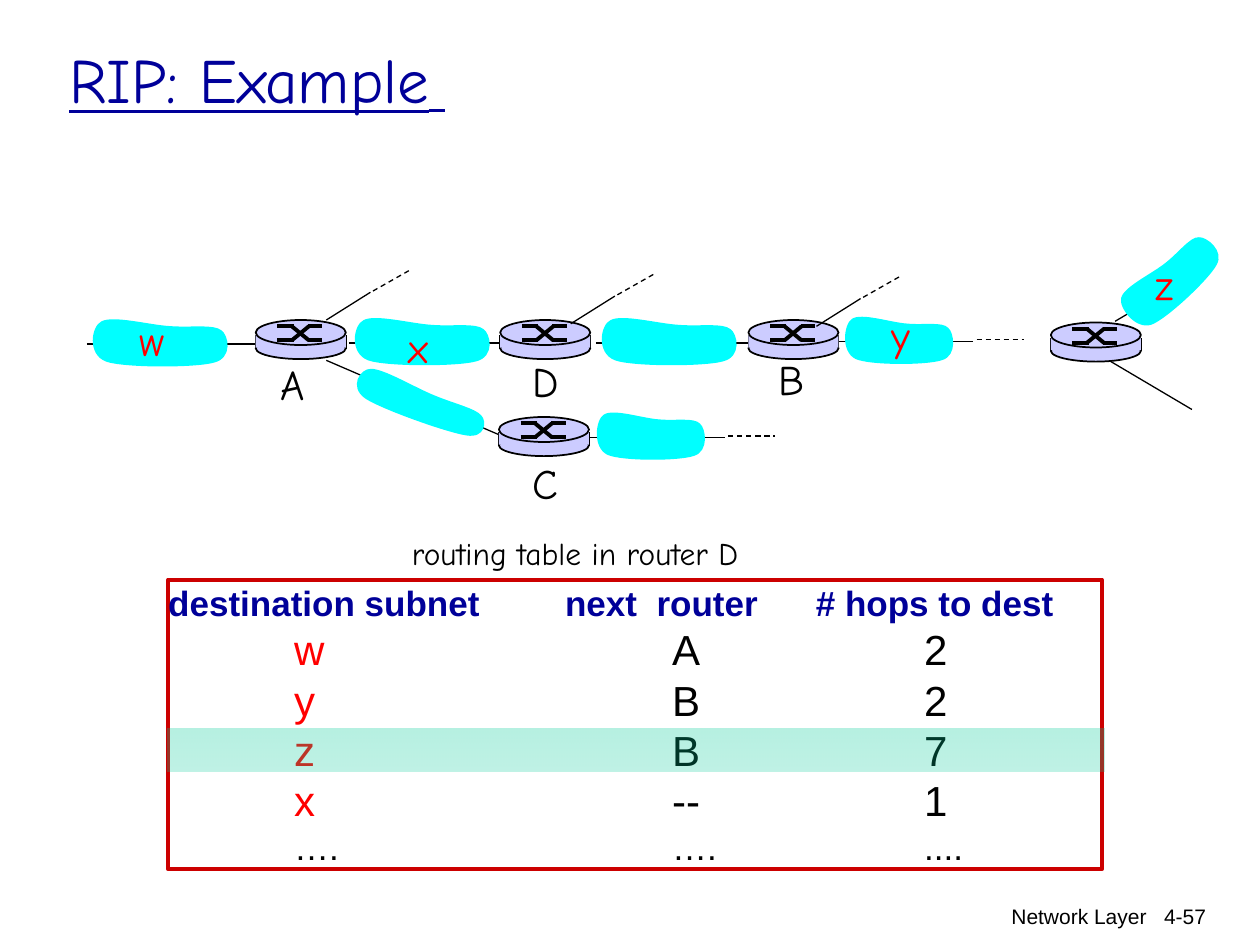
import lxml.etree
import pptx
import pptx.dml.color
import pptx.enum.dml
import pptx.enum.shapes
import pptx.enum.text
import pptx.oxml.ns
import pptx.util

COLUMNS = 100
ROWS = 75
CELL = pptx.util.Inches(10) // COLUMNS
BODY_FONT, HAND_FONT = "Arial", "Comic Neue"
BLACK, RED, NAVY = "000000", "FF0000", "000099"
SHAPES = pptx.enum.shapes.MSO_SHAPE
ALIGN = pptx.enum.text.PP_ALIGN
ANCHOR = pptx.enum.text.MSO_ANCHOR
CLOUD_START = (0.57, 0.21)
CLOUD_CURVES = [
    ((0.43, 0.19), (0.18, 0), (0.10, 0.12)),
    ((0.03, 0.21), (0, 0.74), (0.13, 0.88)),
    ((0.25, 1), (0.74, 1), (0.87, 0.90)),
    ((1, 0.81), (0.97, 0.38), (0.92, 0.29)),
    ((0.87, 0.17), (0.71, 0.24), CLOUD_START),
]


def color(value):
    return pptx.dml.color.RGBColor.from_string(value)


def cells(*values):
    return [round(value * CELL) for value in values]


def within(box, x, y):
    left, top, width, height = box
    return left + x * width, top + y * height


def add_child(parent, tag, **attributes):
    return lxml.etree.SubElement(parent, pptx.oxml.ns.qn(tag), **attributes)


def style(span, size, shade, face, bold=False):
    span.font.size = pptx.util.Pt(size)
    span.font.color.rgb = color(shade)
    span.font.name = face
    span.font.bold = bold


def draw_line(shapes, start, end, weight=0.75, dashed=False):
    line = shapes.add_connector(
        pptx.enum.shapes.MSO_CONNECTOR.STRAIGHT, *cells(*start, *end))
    line.line.color.rgb = color(BLACK)
    line.line.width = pptx.util.Pt(weight)
    if dashed:
        line.line.dash_style = pptx.enum.dml.MSO_LINE.DASH
    add_child(line.element.spPr, "a:effectLst")


def draw_shape(shapes, kind, box, fill=None, outline=None, weight=1):
    shape = shapes.add_shape(kind, *cells(*box))
    shape.shadow.inherit = False
    if fill:
        shape.fill.solid()
        shape.fill.fore_color.rgb = color(fill)
    else:
        shape.fill.background()
    if outline:
        shape.line.color.rgb = color(outline)
        shape.line.width = pptx.util.Pt(weight)
    else:
        shape.line.fill.background()
    return shape


def add_label(page, box, words, size, shade=BLACK, face=HAND_FONT,
              align=ALIGN.LEFT, wrap=False):
    frame = page.shapes.add_textbox(*cells(*box)).text_frame
    frame.word_wrap = wrap
    frame.text = words
    para = frame.paragraphs[0]
    para.alignment = align
    style(para.runs[0], size, shade, face)


def add_title(page, box):
    title = page.shapes.title
    title.left, title.top, title.width, title.height = cells(*box)
    frame = title.text_frame
    frame.vertical_anchor = ANCHOR.MIDDLE
    para = frame.paragraphs[0]
    para.alignment = ALIGN.LEFT
    for words, size in (("RIP: Example", 36), (" ", 28)):
        span = para.add_run()
        span.text = words
        style(span, size, NAVY, HAND_FONT)
        span.font.underline = True


def add_router(page, left, top):
    box = (left, top, 7.15, 3.1)
    width, height = box[2:]
    shapes = page.shapes.add_group_shape().shapes

    def part(kind, y, share, outline=None):
        draw_shape(shapes, kind, (*within(box, 0, y), width, share * height),
                   "CCCCFF", outline)

    part(SHAPES.OVAL, 0.45, 0.55, BLACK)
    for x in (0, 1):
        draw_line(shapes, within(box, x, 0.39), within(box, x, 0.74), 1)
    part(SHAPES.RECTANGLE, 0.39, 0.32)
    part(SHAPES.OVAL, 0, 0.64, BLACK)
    for near, far in ((0.16, 0.52), (0.52, 0.16)):
        for x1, y1, x2, y2 in ((0.24, near, 0.42, near),
                               (0.40, near, 0.59, far),
                               (0.58, far, 0.74, far)):
            draw_line(shapes, within(box, x1, y1), within(box, x2, y2), 2.25)


def add_cloud(page, box, turn=0):
    corners = [tuple(cells(*within(box, x, y)))
               for x, y in ((0, 0), (1, 0), (1, 1), (0, 1))]
    builder = page.shapes.build_freeform(*corners[0])
    builder.add_line_segments(corners[1:], close=True)
    cloud = builder.convert_to_shape()
    outline = next(cloud.element.iter(pptx.oxml.ns.qn("a:path")))
    for step in list(outline):
        outline.remove(step)
    for tag, points in (("a:moveTo", [CLOUD_START]),
                        *(("a:cubicBezTo", curve) for curve in CLOUD_CURVES)):
        step = add_child(outline, tag)
        for x, y in points:
            add_child(step, "a:pt", x=str(round(x * cloud.width)),
                      y=str(round(y * cloud.height)))
    add_child(outline, "a:close")
    cloud.shadow.inherit = False
    cloud.fill.solid()
    cloud.fill.fore_color.rgb = color("00FFFF")
    cloud.line.fill.background()
    cloud.rotation = turn


def add_branch(page, x, y):
    shapes = page.shapes.add_group_shape().shapes
    draw_line(shapes, (x, y), (x + 3.5, y - 2.2))
    draw_line(shapes, (x + 3.7, y - 2.3), (x + 6.7, y - 4), dashed=True)


def add_network(page):
    for left, y in ((6.9, 27.3), (27.7, 27.2), (47.3, 27.2)):
        draw_line(page.shapes, (left, y), (left + 13.6, y), 1)
    for start, end in (((66.5, 27.1), (77.2, 27.1)),
                       ((46.8, 34.7), (57.5, 34.7)),
                       ((88.5, 25.5), (95.1, 21.6)),
                       ((88, 28.6), (94.6, 32.5)),
                       ((25.9, 28.6), (39.6, 34.5))):
        draw_line(page.shapes, start, end)
    for left, y in ((77.5, 26.95), (57.8, 34.6)):
        draw_line(page.shapes, (left, y), (left + 3.75, y), dashed=True)
    for left, top in ((20.3, 25.4), (39.7, 25.4), (59.4, 25.4),
                      (39.6, 33.1), (83.4, 25.6)):
        add_router(page, left, top)
    for x, y in ((25.9, 25.4), (45.3, 25.7), (64.8, 25.9)):
        add_branch(page, x, y)
    for left, top, width in ((6.9, 25, 11.6), (27.7, 24.9, 11.6),
                             (47.3, 24.9, 11.6), (66.7, 24.8, 9.3),
                             (47, 32.4, 9.3)):
        add_cloud(page, (left, top, width, 4.2))
    add_cloud(page, (27.6, 30.4, 11.6, 3.1), 19.7)
    add_cloud(page, (88.1, 20.1, 9.5, 4.2), 316.8)
    for words, left, top, width, shade in (
            ("w", 10.1, 24.5, 4.3, RED), ("x", 31.4, 25, 4, RED),
            ("y", 69.8, 24.1, 3.8, RED), ("z", 90.7, 20, 3.8, RED),
            ("A", 21.3, 28, 4.4, BLACK), ("C", 41.3, 35.8, 4, BLACK),
            ("D", 41.3, 27.7, 4.4, BLACK), ("B", 60.8, 27.6, 4.1, BLACK)):
        add_label(page, (left, top, width, 5), words, 24, shade)


def add_row(para, stops, pieces, size, bold=False):
    para.alignment = ALIGN.LEFT
    tabs = add_child(para._p.get_or_add_pPr(), "a:tabLst")
    for stop in cells(*stops):
        add_child(tabs, "a:tab", pos=str(stop), algn="l")
    for words, shade in pieces:
        span = para.add_run()
        span.text = words
        style(span, size, shade, BODY_FONT, bold)


def add_routing_rows(page, box):
    panel = draw_shape(page.shapes, SHAPES.RECTANGLE, box, None, "CC0000", 2.25)
    frame = panel.text_frame
    frame.margin_left = frame.margin_right = 0
    frame.margin_top = frame.margin_bottom = 0
    frame.vertical_anchor = ANCHOR.MIDDLE
    heading = "destination subnet\tnext  router\t# hops to dest"
    add_row(frame.paragraphs[0], (31.5, 51.4), [(heading, NAVY)], 20, True)
    for subnet, router, hops, size, shade in (
            ("w", "A", "2", 24, RED), ("y", "B", "2", 24, RED),
            ("z", "B", "7", 24, RED), ("x", "--", "1", 24, RED),
            ("….", "….", "....", 20, BLACK)):
        pieces = [(f"\t{subnet}", shade), (f"\t{router}\t{hops}", BLACK)]
        add_row(frame.add_paragraph(), (10, 40, 60), pieces, size)


def add_highlight(page, box):
    band = draw_shape(page.shapes, SHAPES.RECTANGLE, box)
    band.fill.gradient()
    band.fill.gradient_angle = 270
    for stop in band.fill.gradient_stops:
        stop.color.rgb = color("00CC99")
    tints = list(band.element.spPr.iter(pptx.oxml.ns.qn("a:srgbClr")))
    for tint, opacity in zip(tints, ("29000", "25000")):
        add_child(tint, "a:alpha", val=opacity)


def add_footer(page):
    for words, box in (("Network Layer", (60.3, 71.2, 31.7, 4.1)),
                       ("4-57", (89.3, 71.2, 7.4, 3.8))):
        add_label(page, box, words, 12, BLACK, BODY_FONT, ALIGN.RIGHT, True)


def main():
    deck = pptx.Presentation()
    deck.slide_width, deck.slide_height = COLUMNS * CELL, ROWS * CELL
    page = deck.slides.add_slide(deck.slide_layouts[5])
    add_footer(page)
    add_title(page, (4.5, 0, 85, 12.5))
    add_routing_rows(page, (13.35, 46, 74.1, 23))
    add_label(page, (31.7, 41.9, 30.7, 4), "routing table in router D", 18)
    add_network(page)
    add_highlight(page, (13.3, 57.8, 74.4, 3.4))
    deck.save("out.pptx")


if __name__ == "__main__":
    main()
